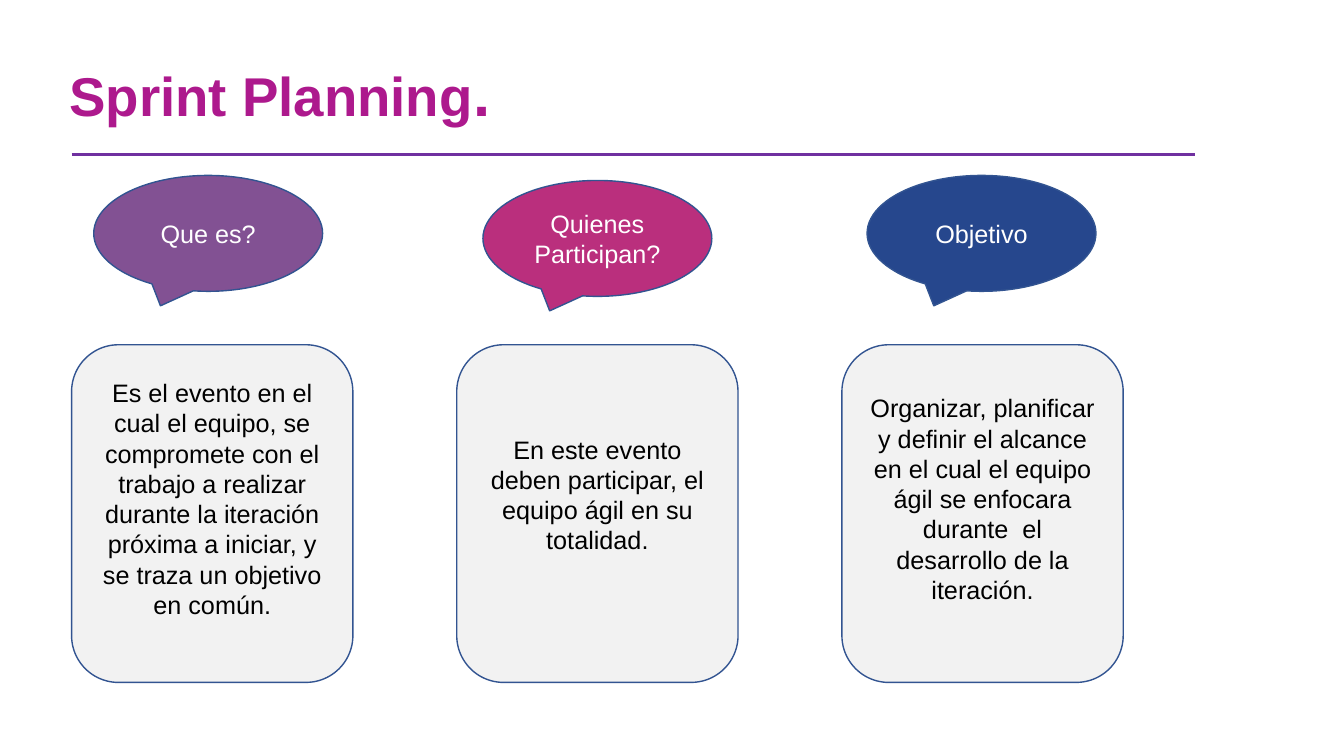
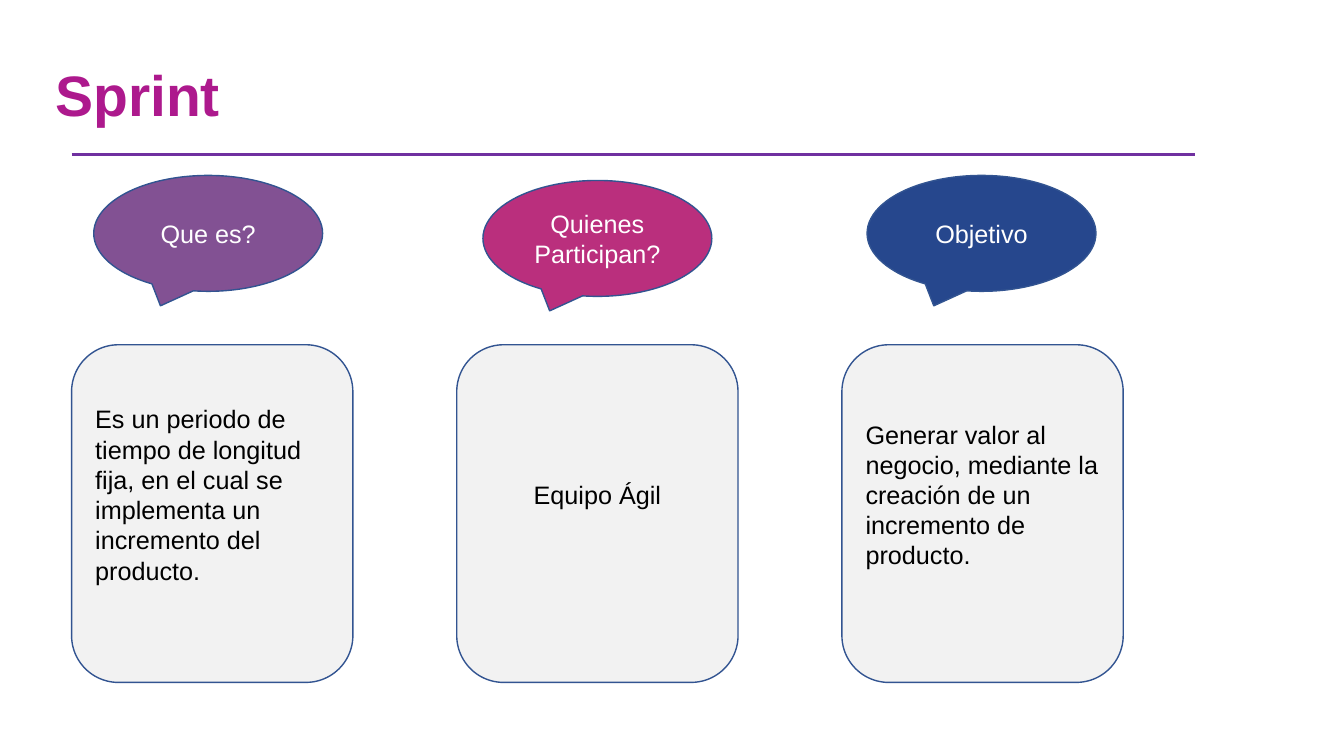
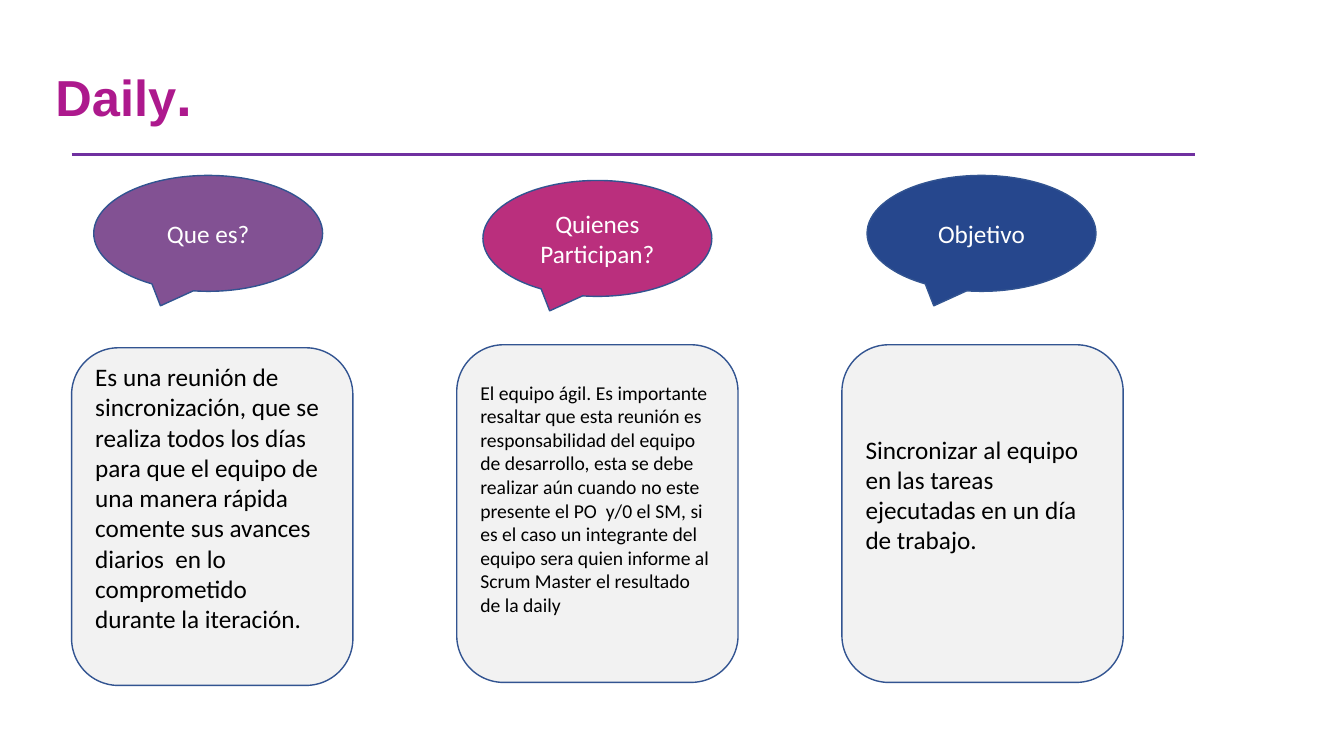
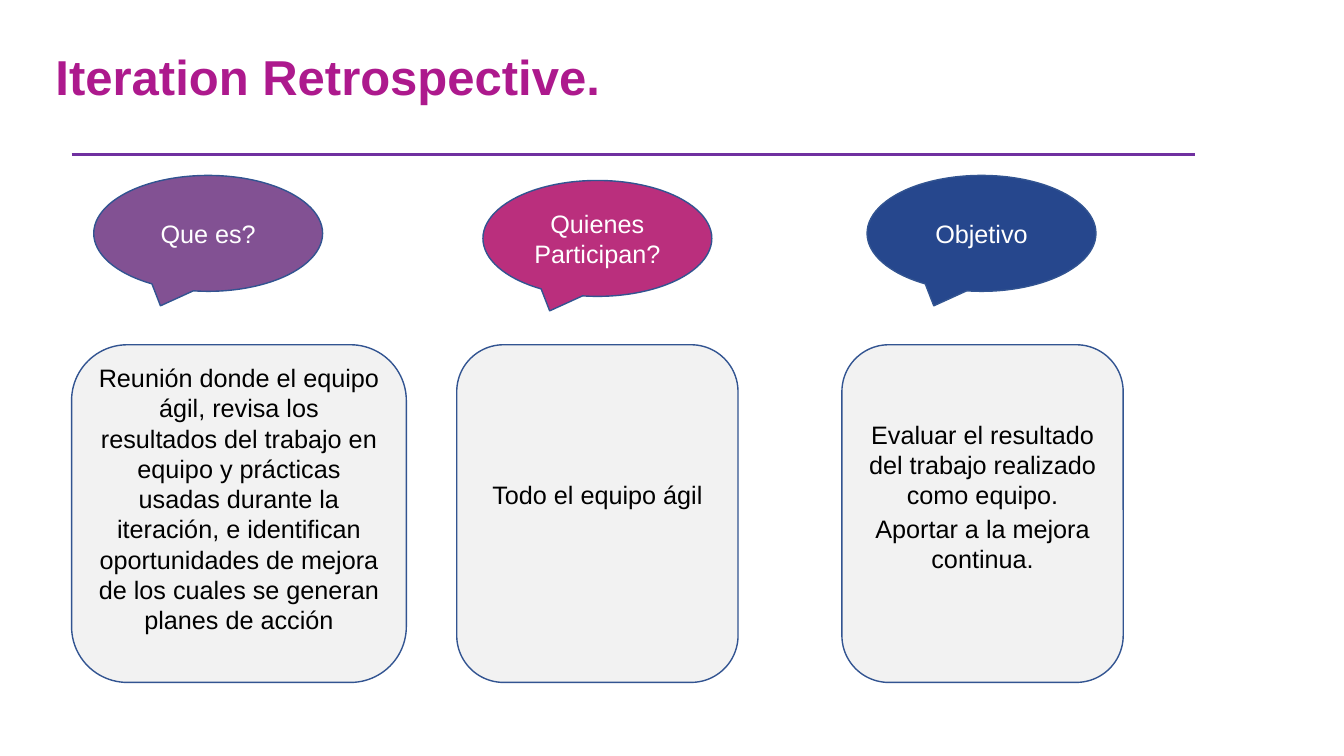
"""Build four slides that explain the agile ceremonies."""
from dataclasses import dataclass

from lxml.etree import SubElement
from pptx import Presentation
from pptx.dml.color import RGBColor
from pptx.enum.shapes import MSO_CONNECTOR, MSO_SHAPE
from pptx.enum.text import MSO_ANCHOR, MSO_AUTO_SIZE, PP_ALIGN
from pptx.oxml.ns import qn
from pptx.util import Inches, Pt

MAGENTA = RGBColor(0xAD, 0x19, 0x8D)
PURPLE = RGBColor(0x70, 0x30, 0xA0)
VIOLET = RGBColor(0x82, 0x51, 0x93)
PINK = RGBColor(0xBA, 0x2F, 0x7D)
NAVY = RGBColor(0x26, 0x47, 0x8D)
OUTLINE = RGBColor(0x32, 0x54, 0x91)
PALE = RGBColor(0xF2, 0xF2, 0xF2)
WHITE = RGBColor(0xFF, 0xFF, 0xFF)
BLACK = RGBColor(0, 0, 0)

LEFT, CENTER = PP_ALIGN.LEFT, PP_ALIGN.CENTER
TITLE_FONT = "Arial"
CARD_LEFT, CARD_PITCH, CARD_TOP = 0.71, 3.82, 3.42
CARD_WIDTH, CARD_HEIGHT = 2.79, 3.35
CALLOUT_WIDTH, CALLOUT_HEIGHT = 2.27, 1.15
RULE_LEFT, RULE_RIGHT, RULE_TOP = 0.71, 11.85, 1.53

QUESTIONS = [
    ("Que es?", VIOLET, 0.93, 1.74),
    ("Quienes Participan?", PINK, 4.79, 1.79),
    ("Objetivo", NAVY, 8.6, 1.74),
]


@dataclass
class Answer:
    """Text of one card and the ways it differs from the others."""
    paragraphs: list
    align: PP_ALIGN = CENTER
    lift: float = 0.38
    size: int = 18
    gap: float = 0
    top: float = CARD_TOP
    width: float = CARD_WIDTH


CEREMONIES = [
    {
        "title": [("Sprint Planning", 39), (".", 44)],
        "title_box": (0.59, 0.45, 10.54, 1.02),
        "spacing": 0.9,
        "font": "Arial",
        "answers": [
            Answer(["Es el evento en el cual el equipo, se compromete con el trabajo a "
                    "realizar durante la iteración próxima a iniciar, y se traza un "
                    "objetivo en común."], lift=0.3),
            Answer(["En este evento deben participar, el equipo ágil en su totalidad."]),
            Answer(["Organizar, planificar y definir el alcance en el cual el equipo "
                    "ágil se enfocara durante  el desarrollo de la iteración."], lift=0.3),
        ],
    },
    {
        "title": [("Sprint", 40.7)],
        "title_box": (0.45, 0.71, 10.01, 0.61),
        "spacing": 0.7,
        "font": "Arial",
        "answers": [
            Answer(["Es un periodo de tiempo de longitud fija, en el cual se implementa "
                    "un incremento del producto."], LEFT),
            Answer(["Equipo Ágil"]),
            Answer(["Generar valor al negocio, mediante la creación de un incremento "
                    "de producto."], LEFT),
        ],
    },
    {
        "title": [("Daily", 36.1), (".", 40.7)],
        "title_box": (0.45, 0.71, 11.66, 0.61),
        "spacing": 0.7,
        "font": "Calibri",
        "answers": [
            Answer(["Es una reunión de sincronización, que se realiza todos los días "
                    "para que el equipo de una manera rápida comente sus avances "
                    "diarios  en lo comprometido durante la iteración."],
                   LEFT, top=3.45),
            Answer(["El equipo ágil. Es importante resaltar que esta reunión es "
                    "responsabilidad del equipo de desarrollo, esta se debe realizar "
                    "aún cuando no este presente el PO  y/0 el SM, si es el caso un "
                    "integrante del equipo sera quien informe al Scrum Master el "
                    "resultado de la daily"], LEFT, lift=0.3, size=14),
            Answer(["Sincronizar al equipo en las tareas ejecutadas en un día de "
                    "trabajo."], LEFT),
        ],
    },
    {
        "title": [("Iteration Retrospective.", 35)],
        "title_box": (0.45, 0.25, 9.98, 1.07),
        "spacing": 0.9,
        "font": "Arial",
        "answers": [
            Answer(["Reunión donde el equipo ágil, revisa los resultados del trabajo en "
                    "equipo y prácticas usadas durante la iteración, e identifican "
                    "oportunidades de mejora de los cuales se generan planes de acción"],
                   lift=0.3, width=3.32),
            Answer(["Todo el equipo ágil"]),
            Answer(["Evaluar el resultado del trabajo realizado como equipo.",
                    "Aportar a la mejora continua."], lift=0.34, gap=2.7),
        ],
    },
]


def add_run(paragraph, text, font_name, size, color, bold=False):
    """Append one formatted run."""
    run = paragraph.add_run()
    run.text = text
    run.font.name = font_name
    run.font.size = Pt(size)
    run.font.color.rgb = color
    run.font.bold = bold


def set_title(slide, ceremony):
    """Place and fill the title placeholder."""
    title = slide.shapes.title
    title.left, title.top, title.width, title.height = map(Inches, ceremony["title_box"])
    frame = title.text_frame
    frame.auto_size = MSO_AUTO_SIZE.NONE
    frame.word_wrap = True
    frame.vertical_anchor = MSO_ANCHOR.MIDDLE
    heading = frame.paragraphs[0]
    heading.alignment = LEFT
    heading.line_spacing = ceremony["spacing"]
    for text, size in ceremony["title"]:
        add_run(heading, text, TITLE_FONT, size, MAGENTA, bold=True)


def add_rule(slide):
    """Draw the line below the title."""
    rule = slide.shapes.add_connector(
        MSO_CONNECTOR.STRAIGHT, Inches(RULE_LEFT), Inches(RULE_TOP),
        Inches(RULE_RIGHT), Inches(RULE_TOP))
    rule.line.color.rgb = PURPLE
    rule.line.width = Pt(2.25)
    SubElement(rule._element.spPr, qn("a:effectLst"))


def add_panel(slide, preset, box, fill, paragraphs, font_name, color,
              size=18, align=CENTER, gap=0):
    """Add an outlined shape with text and return its text frame."""
    panel = slide.shapes.add_shape(preset, *map(Inches, box))
    panel.shadow.inherit = False
    panel.fill.solid()
    panel.fill.fore_color.rgb = fill
    panel.line.color.rgb = OUTLINE
    panel.line.width = Pt(1)
    frame = panel.text_frame
    frame.word_wrap = True
    frame.vertical_anchor = MSO_ANCHOR.MIDDLE
    for index, text in enumerate(paragraphs):
        paragraph = frame.add_paragraph() if index else frame.paragraphs[0]
        paragraph.alignment = align
        if index:
            paragraph.space_before = Pt(gap)
        add_run(paragraph, text, font_name, size, color)
    return frame


def add_columns(slide, ceremony):
    """Add each question callout with its answer card."""
    font_name = ceremony["font"]
    for column, (question, answer) in enumerate(zip(QUESTIONS, ceremony["answers"])):
        label, fill, left, top = question
        add_panel(slide, MSO_SHAPE.OVAL_CALLOUT,
                  (left, top, CALLOUT_WIDTH, CALLOUT_HEIGHT),
                  fill, [label], font_name, WHITE)
        card_text = add_panel(
            slide, MSO_SHAPE.FLOWCHART_ALTERNATE_PROCESS,
            (CARD_LEFT + column * CARD_PITCH, answer.top, answer.width, CARD_HEIGHT),
            PALE, answer.paragraphs, font_name, BLACK,
            answer.size, answer.align, answer.gap)
        card_text.margin_top = 0
        card_text.margin_bottom = Inches(answer.lift)


def main():
    """Create and save the presentation."""
    deck = Presentation()
    deck.slide_width, deck.slide_height = Inches(13.33), Inches(7.5)
    title_only = deck.slide_layouts[5]
    for ceremony in CEREMONIES:
        slide = deck.slides.add_slide(title_only)
        set_title(slide, ceremony)
        add_rule(slide)
        add_columns(slide, ceremony)
    deck.save("out.pptx")


if __name__ == "__main__":
    main()
